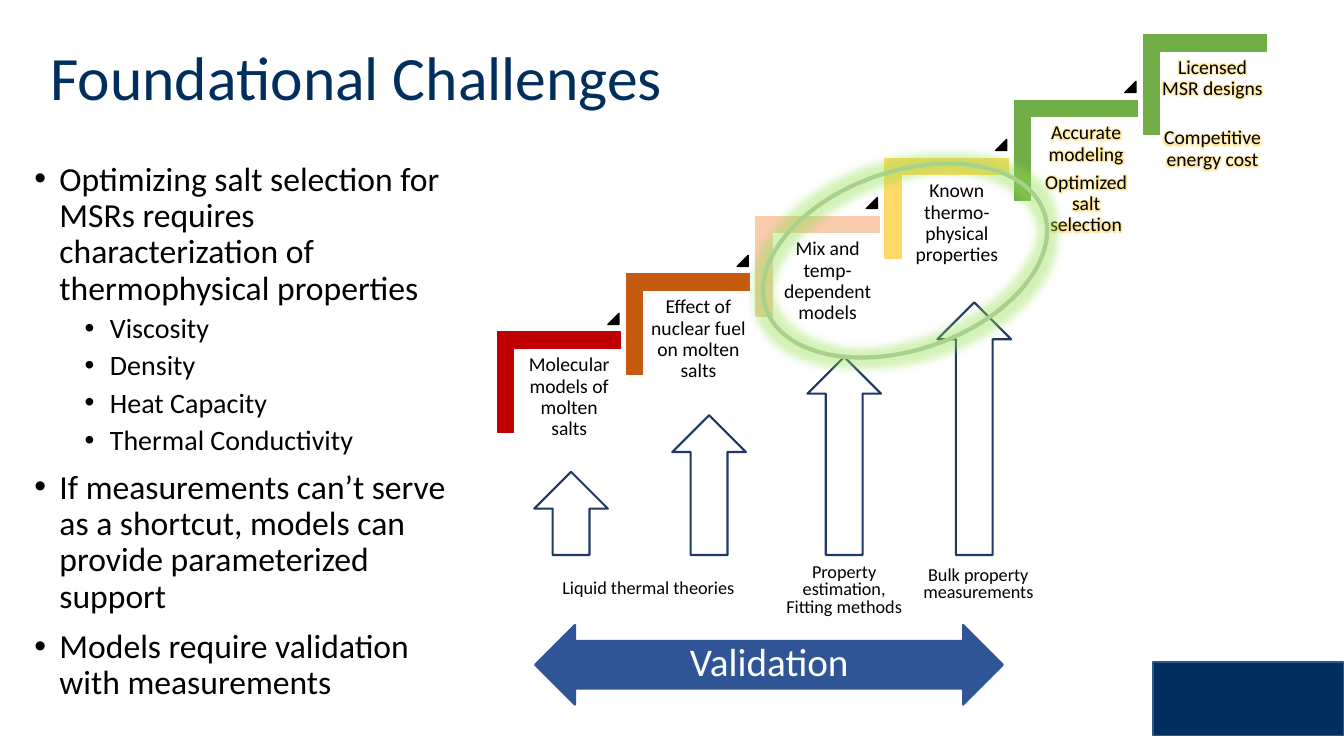
"""Build the slide on foundational challenges in molten salt modelling."""
from lxml import etree
from pptx import Presentation
from pptx.dml.color import RGBColor
from pptx.enum import shapes, text
from pptx.oxml import ns
from pptx.util import Pt

NAVY = RGBColor(0x00, 0x2E, 0x5D)
BLACK = RGBColor(0x00, 0x00, 0x00)
WHITE = RGBColor(0xFF, 0xFF, 0xFF)
RED = RGBColor(0xC0, 0x00, 0x00)
RUST = RGBColor(0xC5, 0x5A, 0x11)
PEACH = RGBColor(0xF8, 0xCB, 0xAD)
YELLOW = RGBColor(0xFF, 0xD9, 0x66)
GREEN = RGBColor(0x70, 0xAD, 0x47)
RING = RGBColor(0xA9, 0xD1, 0x8E)
RING_GLOW = RGBColor(0x92, 0xE0, 0x50)
TEXT_GLOW = RGBColor(0xFF, 0xC0, 0x00)
OUTLINE = RGBColor(0x20, 0x38, 0x64)
BLUE = RGBColor(0x2F, 0x55, 0x97)
CORNER_LINE = RGBColor(0x32, 0x54, 0x91)

TITLE = "Foundational Challenges"
POINTS = [
    (0, "Optimizing salt selection for MSRs requires characterization of "
        "thermophysical properties"),
    (1, "Viscosity"),
    (1, "Density"),
    (1, "Heat Capacity"),
    (1, "Thermal Conductivity"),
    (0, "If measurements can’t serve as a shortcut, models can provide "
        "parameterized support"),
    (0, "Models require validation with measurements"),
]
LEVELS = [
    {"size": 24, "before": 10, "left": 18},
    {"size": 20, "before": 5, "left": 54},
]
STEPS = [
    {"labels": ["Molecular models of molten salts"], "color": RED},
    {"labels": ["Effect of nuclear fuel on molten salts"], "color": RUST},
    {"labels": ["Mix and temp-dependent models"], "color": PEACH},
    {"labels": ["Known thermo-physical properties"], "color": YELLOW},
    {"labels": ["Accurate modeling", "Optimized salt selection"],
     "color": GREEN, "glow": True},
    {"labels": ["Licensed MSR designs", "Competitive energy cost"],
     "color": GREEN, "glow": True, "lift": 5.4, "gap": 20,
     "label_box": (0.7, 20.2, 80.6, 86.4)},
]
SUPPORTS = [(381.6, 337), (480.2, 296.6), (576.7, 254.9), (669.6, 216)]
SUPPORT_BASE, SUPPORT_WIDTH = 396.4, 52.6
METHODS = [
    (["Liquid thermal theories"], (380.2, 411.1, 165.6, 20.2)),
    (["Property estimation,", "Fitting methods"], (545, 399.6, 115.9, 46.8)),
    (["Bulk property measurements"], (645.1, 401.8, 107.3, 33.1)),
]
STEP_ORIGIN, STEP_RUN, STEP_RISE = (363.6, 229), 92.3, 41.4
STEP_SIZE = (71.3, 87.8)
STEP_THICKNESS = 16100
LABEL_BOX = (4.1, 20.2, 77.8, 74.9)
LABEL_INSETS = dict.fromkeys(
    ["margin_left", "margin_top", "margin_right", "margin_bottom"], Pt(4.3))
CENTER = text.PP_ALIGN.CENTER


def apply(target, values):
    """Set each named attribute of the target."""
    for name, value in values.items():
        setattr(target, name, value)


def place(part, box):
    """Move and size a part, in points."""
    apply(part, dict(zip(("left", "top", "width", "height"), map(Pt, box))))


def add_glow(parent, radius, color, alpha):
    """Add an effect list holding one glow."""
    effects = etree.SubElement(parent, ns.qn("a:effectLst"))
    glow = etree.SubElement(effects, ns.qn("a:glow"), rad=str(Pt(radius)))
    tint = etree.SubElement(glow, ns.qn("a:srgbClr"), val=str(color))
    etree.SubElement(tint, ns.qn("a:alpha"), val=str(alpha * 1000))
    return effects


def style_font(font, size, color):
    """Set the slide font."""
    apply(font, {"name": "Calibri", "size": Pt(size)})
    font.color.rgb = color


def add_part(slide, kind, box, fill, line, weight=1, rotation=0, adjust=()):
    """Add a preset shape."""
    part = slide.shapes.add_shape(kind, *map(Pt, box))
    part.shadow.inherit = False
    part.rotation = rotation
    for index, value in enumerate(adjust):
        part.adjustments[index] = value
    if fill is None:
        part.fill.background()
    else:
        part.fill.solid()
        part.fill.fore_color.rgb = fill
    part.line.color.rgb = line
    part.line.width = Pt(weight)
    return part


def add_step(slide, box, color):
    """Add one stair step as an upright corner preset."""
    step = add_part(slide, shapes.MSO_SHAPE.RECTANGLE, box, color, color,
                    rotation=90)
    geometry = step._element.spPr.find(ns.qn("a:prstGeom"))
    geometry.set("prst", "corner")
    guides = geometry.find(ns.qn("a:avLst"))
    for name in ("adj1", "adj2"):
        etree.SubElement(guides, ns.qn("a:gd"), name=name,
                         fmla=f"val {STEP_THICKNESS}")


def add_label(slide, lines, box, size, color=BLACK, spacing=0.9, after=0,
              glow=False, insets=None):
    """Add centred, wrapped text."""
    frame = slide.shapes.add_textbox(*map(Pt, box)).text_frame
    apply(frame, {"word_wrap": True, **(insets or {})})
    for index, line in enumerate(lines):
        paragraph = frame.add_paragraph() if index else frame.paragraphs[0]
        apply(paragraph, {"alignment": CENTER, "line_spacing": spacing,
                          "space_after": Pt(after)})
        run = paragraph.add_run()
        run.text = line
        style_font(run.font, size, color)
        if glow:
            props = run._r.get_or_add_rPr()
            effects = add_glow(props, 5, TEXT_GLOW, 40)
            props.find(ns.qn("a:solidFill")).addnext(effects)


def add_outline(slide):
    """Fill the title and the bulleted list."""
    title, body = slide.shapes.title, slide.placeholders[1]
    place(title, (28.8, 21.6, 484.6, 72))
    title.text_frame.text = TITLE
    apply(title.text_frame, {"vertical_anchor": text.MSO_ANCHOR.MIDDLE,
                             "auto_size": text.MSO_AUTO_SIZE.NONE})
    heading = title.text_frame.paragraphs[0]
    apply(heading, {"alignment": text.PP_ALIGN.LEFT, "line_spacing": 0.9})
    style_font(heading.runs[0].font, 44, NAVY)

    place(body, (17.3, 112.3, 308.9, 394.6))
    frame = body.text_frame
    frame.auto_size = text.MSO_AUTO_SIZE.NONE
    for index, (level, point) in enumerate(POINTS):
        look = LEVELS[level]
        paragraph = frame.add_paragraph() if index else frame.paragraphs[0]
        apply(paragraph, {"text": point, "level": level, "line_spacing": 0.9,
                          "space_before": Pt(look["before"] if index else 0)})
        props = paragraph._p.get_or_add_pPr()
        props.set("marL", str(Pt(look["left"])))
        props.set("indent", str(Pt(-18)))
        etree.SubElement(props, ns.qn("a:buFont"), typeface="Arial")
        etree.SubElement(props, ns.qn("a:buChar"), char="•")
        style_font(paragraph.runs[0].font, look["size"], BLACK)


def add_staircase(slide):
    """Add the steps, rising from left to right."""
    for index, step in enumerate(STEPS):
        left = STEP_ORIGIN[0] + index * STEP_RUN
        top = STEP_ORIGIN[1] - index * STEP_RISE - step.get("lift", 0)
        add_step(slide, (left, top, *STEP_SIZE), step["color"])
        dx, dy, width, height = step.get("label_box", LABEL_BOX)
        add_label(slide, step["labels"], (left + dx, top + dy, width, height),
                  14, after=step.get("gap", 5), glow=step.get("glow", False),
                  insets=LABEL_INSETS)
        if index < len(STEPS) - 1:
            add_part(slide, shapes.MSO_SHAPE.ISOSCELES_TRIANGLE,
                     (left + 70.6, top - 5.2, 7.9, 7.9), BLACK, BLACK,
                     adjust=(1,))


def add_validation(slide):
    """Add the supporting methods, the validation arrow and the focus ring."""
    kinds = shapes.MSO_SHAPE
    for left, top in SUPPORTS:
        add_part(slide, kinds.DOWN_ARROW,
                 (left, top, SUPPORT_WIDTH, SUPPORT_BASE - top),
                 WHITE, OUTLINE, 1.5, 180)
    for lines, box in METHODS:
        add_label(slide, lines, box, 13, spacing=0.8)
    add_part(slide, kinds.LEFT_RIGHT_ARROW, (382.3, 446.4, 334.1, 56.9),
             BLUE, BLUE, 1.5, adjust=(0.597, 0.5))
    add_label(slide, ["Validation"], (466.6, 455.8, 165.6, 38.2), 28, WHITE)
    ring = add_part(slide, kinds.OVAL, (541.4, 122.4, 210.2, 127.4),
                    None, RING, 3, 340.9)
    props = ring._element.spPr
    props.remove(props.find(ns.qn("a:effectLst")))
    add_glow(props, 11, RING_GLOW, 40)


deck = Presentation()
apply(deck, {"slide_width": Pt(960), "slide_height": Pt(540)})
challenges = deck.slides.add_slide(deck.slide_layouts[1])
add_outline(challenges)
add_part(challenges, shapes.MSO_SHAPE.RECTANGLE, (823.7, 473, 136.1, 52.6),
         NAVY, CORNER_LINE)
add_staircase(challenges)
add_validation(challenges)
deck.save("out.pptx")
